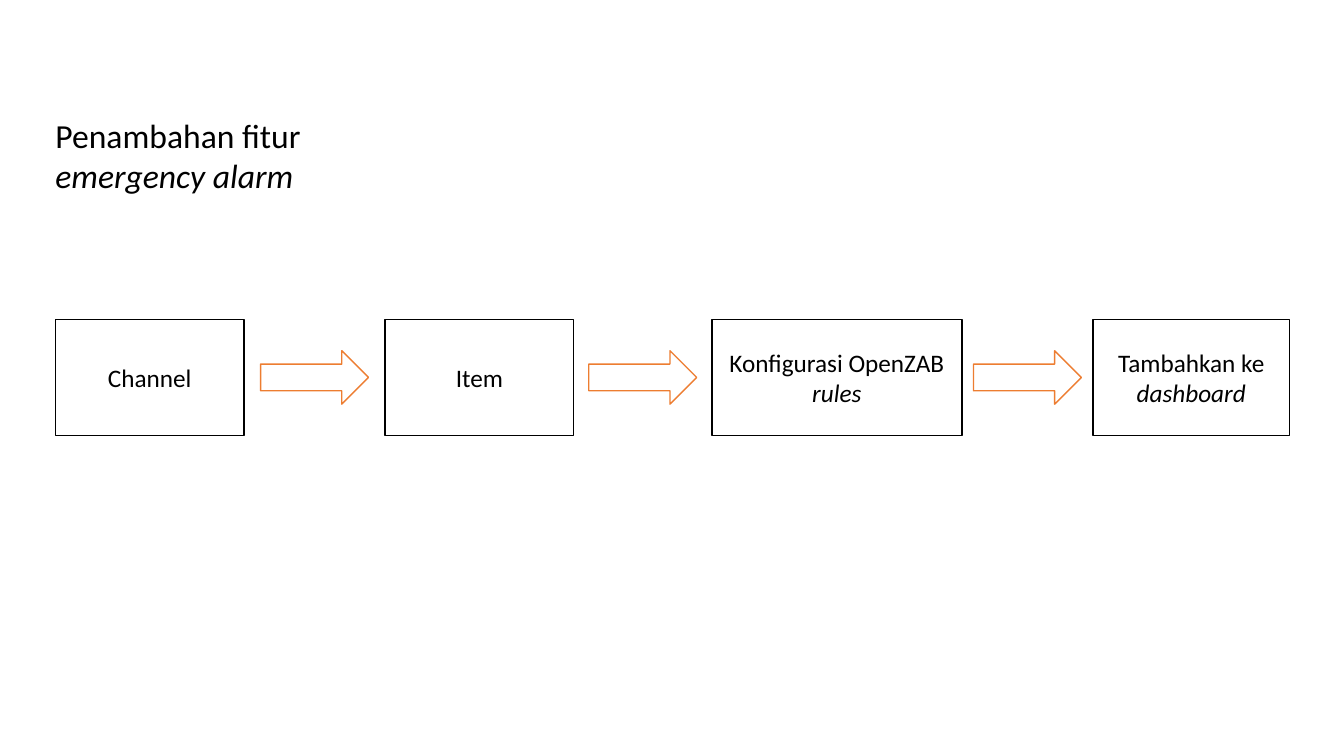
"""Builds a slide with the steps for adding an emergency alarm feature."""
from dataclasses import dataclass

from pptx import Presentation
from pptx import util as u
from pptx.dml.color import RGBColor
from pptx.enum import shapes, text


@dataclass(frozen=True)
class Theme:
    font: str = "Calibri"
    title_size: u.Pt = u.Pt(24)
    step_size: u.Pt = u.Pt(18)
    line_width: u.Pt = u.Pt(1)
    ink: RGBColor = RGBColor(0, 0, 0)
    paper: RGBColor = RGBColor(255, 255, 255)
    accent: RGBColor = RGBColor(0xED, 0x7D, 0x31)


THEME = Theme()
STEPS = [
    (0.55, 1.87, "Channel", ""),
    (3.82, 1.87, "Item", ""),
    (7.06, 2.48, "Konfigurasi OpenZAB ", "rules"),
    (10.84, 1.95, "Tambahkan ke ", "dashboard"),
]


def write(tf, plain, italic, size, align):
    """Fill a text frame with plain words followed by italic ones."""
    tf.word_wrap = True
    p = tf.paragraphs[0]
    p.alignment = align
    p.font.name = THEME.font
    p.font.size = size
    p.font.color.rgb = THEME.ink
    p.add_run().text = plain
    if italic:
        r = p.add_run()
        r.text = italic
        r.font.italic = True


def add_outlined(s, kind, box, color):
    """Add a white preset shape with a coloured outline."""
    sp = s.shapes.add_shape(kind, *map(u.Inches, box))
    sp.shadow.inherit = False
    sp.fill.solid()
    sp.fill.fore_color.rgb = THEME.paper
    sp.line.color.rgb = color
    sp.line.width = THEME.line_width
    return sp


def add_title(s, left, top, width, height):
    """Place the slide title in the given box."""
    sp = s.shapes.title
    sp.left, sp.top, sp.width, sp.height = map(u.Inches, (left, top, width, height))
    tf = sp.text_frame
    tf.auto_size = text.MSO_AUTO_SIZE.NONE
    tf.vertical_anchor = text.MSO_ANCHOR.TOP
    write(tf, "Penambahan fitur ", "emergency alarm", THEME.title_size, text.PP_ALIGN.LEFT)


def add_flow(s, top, height, arrow_width=1.07, arrow_height=0.53):
    """Draw the row of steps with an arrow centred in each gap."""
    for left, width, plain, italic in STEPS:
        sp = add_outlined(s, shapes.MSO_SHAPE.RECTANGLE, (left, top, width, height), THEME.ink)
        sp.text_frame.vertical_anchor = text.MSO_ANCHOR.MIDDLE
        write(sp.text_frame, plain, italic, THEME.step_size, text.PP_ALIGN.CENTER)
    arrow_top = top + (height - arrow_height) / 2
    for (left, width, *_), (next_left, *_) in zip(STEPS, STEPS[1:]):
        arrow_left = (left + width + next_left - arrow_width) / 2
        box = (arrow_left, arrow_top, arrow_width, arrow_height)
        add_outlined(s, shapes.MSO_SHAPE.RIGHT_ARROW, box, THEME.accent)


def main():
    """Build and save the presentation."""
    prs = Presentation()
    prs.slide_width, prs.slide_height = u.Inches(13.33), u.Inches(7.5)
    s = prs.slides.add_slide(prs.slide_layouts[5])
    add_title(s, 0.45, 1.09, 3, 0.91)
    add_flow(s, 3.17, 1.15)
    prs.save("out.pptx")


if __name__ == "__main__":
    main()
